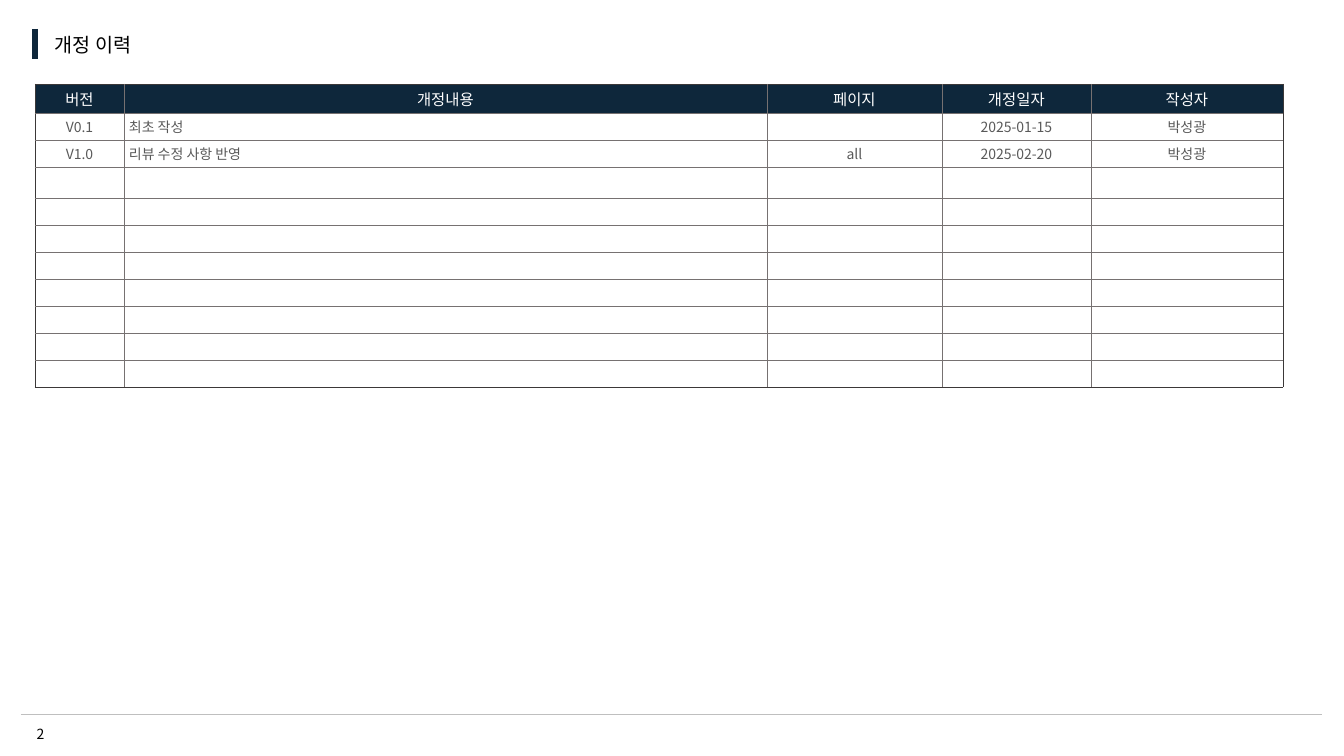
from lxml import etree
from pptx import Presentation
from pptx import util as u
from pptx.dml.color import RGBColor
from pptx.enum import shapes, text
from pptx.oxml.ns import qn

# Content
TITLE = "개정 이력"
PAGE_NUMBER = "2"
HEADINGS = ["버전", "개정내용", "페이지", "개정일자", "작성자"]
REVISIONS = [
    ["V0.1", "최초 작성", "", "2025-01-15", "박성광"],
    ["V1.0", "리뷰 수정 사항 반영", "all", "2025-02-20", "박성광"],
]
BLANK_ROWS = 8

# Look
FONT = "Noto Sans CJK KR"
COLORS = {
    "navy": "0E273B", "white": "FFFFFF", "black": "000000", "body": "595959",
    "grid": "767171", "frame": "3B3838", "footer": "BFBFBF",
}
COLUMN_WIDTHS = [89, 643, 175, 149, 192]
ROW_HEIGHTS = [29, 27, 27, 31] + [27] * 7
DESCRIPTION = 1  # the one left-aligned column


def px(length):
    return u.Emu(round(length * 12192000 / 1344))


def rgb(name):
    return RGBColor.from_string(COLORS[name])


def write(paragraph, words, size, color, align):
    paragraph.alignment = align
    font = paragraph.font
    font.size, font.name = u.Pt(size), FONT
    font.color.rgb = rgb(color)
    defaults = paragraph._p.pPr.find(qn("a:defRPr"))
    etree.SubElement(defaults, qn("a:ea"), typeface=FONT)
    if words:
        paragraph.add_run().text = words
    else:
        paragraph._p.get_or_add_endParaRPr().set("sz", str(size * 100))


def add_label(box, words, size, align, wrap):
    frame = slide.shapes.add_textbox(*map(px, box)).text_frame
    frame.word_wrap = wrap
    frame.vertical_anchor = text.MSO_ANCHOR.MIDDLE
    frame.margin_top = frame.margin_bottom = px(2)
    write(frame.paragraphs[0], words, size, "black", align)


def add_rule(x1, y1, x2, y2, color, width):
    rule = slide.shapes.add_connector(
        shapes.MSO_CONNECTOR.STRAIGHT, px(x1), px(y1), px(x2), px(y2))
    rule.line.color.rgb = rgb(color)
    rule.line.width = u.Pt(width)
    etree.SubElement(rule._element.spPr, qn("a:effectLst"))


def set_borders(cell, outer_sides):
    properties = cell._tc.get_or_add_tcPr()
    for index, side in enumerate("LRTB"):
        border = etree.Element(qn(f"a:ln{side}"), w=str(u.Pt(0.25)))
        fill = etree.SubElement(border, qn("a:solidFill"))
        color = COLORS["frame" if side in outer_sides else "grid"]
        etree.SubElement(fill, qn("a:srgbClr"), val=color)
        properties.insert(index, border)


prs = Presentation()
prs.slide_width, prs.slide_height = px(1344), px(756)
slide = prs.slides.add_slide(prs.slide_layouts[6])

# Footer
add_rule(21, 715, 1322, 715, "footer", 0.75)
add_label((13, 720, 55, 27), PAGE_NUMBER, 10, text.PP_ALIGN.CENTER, False)

# Title
add_label((45, 29, 140, 32), TITLE, 14, text.PP_ALIGN.LEFT, True)

# Revision table
rows = [HEADINGS] + REVISIONS + [[""] * len(HEADINGS)] * BLANK_ROWS
last_row, last_column = len(rows) - 1, len(HEADINGS) - 1
history = slide.shapes.add_table(
    len(rows), len(HEADINGS), px(35), px(84),
    px(sum(COLUMN_WIDTHS)), px(sum(ROW_HEIGHTS))).table
for column, width in zip(history.columns, COLUMN_WIDTHS):
    column.width = px(width)
for r, values in enumerate(rows):
    history.rows[r].height = px(ROW_HEIGHTS[r])
    size, color, fill = (10, "body", "white") if r else (11, "white", "navy")
    for c, value in enumerate(values):
        cell = history.cell(r, c)
        cell.margin_left = cell.margin_right = px(5)
        cell.margin_top = cell.margin_bottom = px(3)
        cell.vertical_anchor = text.MSO_ANCHOR.MIDDLE
        cell.fill.solid()
        cell.fill.fore_color.rgb = rgb(fill)
        left = r > 0 and c == DESCRIPTION
        align = text.PP_ALIGN.LEFT if left else text.PP_ALIGN.CENTER
        write(cell.text_frame.paragraphs[0], value, size, color, align)
        edges = {"L": c == 0, "R": c == last_column, "T": r == 0, "B": r == last_row}
        set_borders(cell, [side for side, outer in edges.items() if outer])

# Title bar
add_rule(35, 29, 35, 59, "navy", 4.5)

prs.save("out.pptx")
